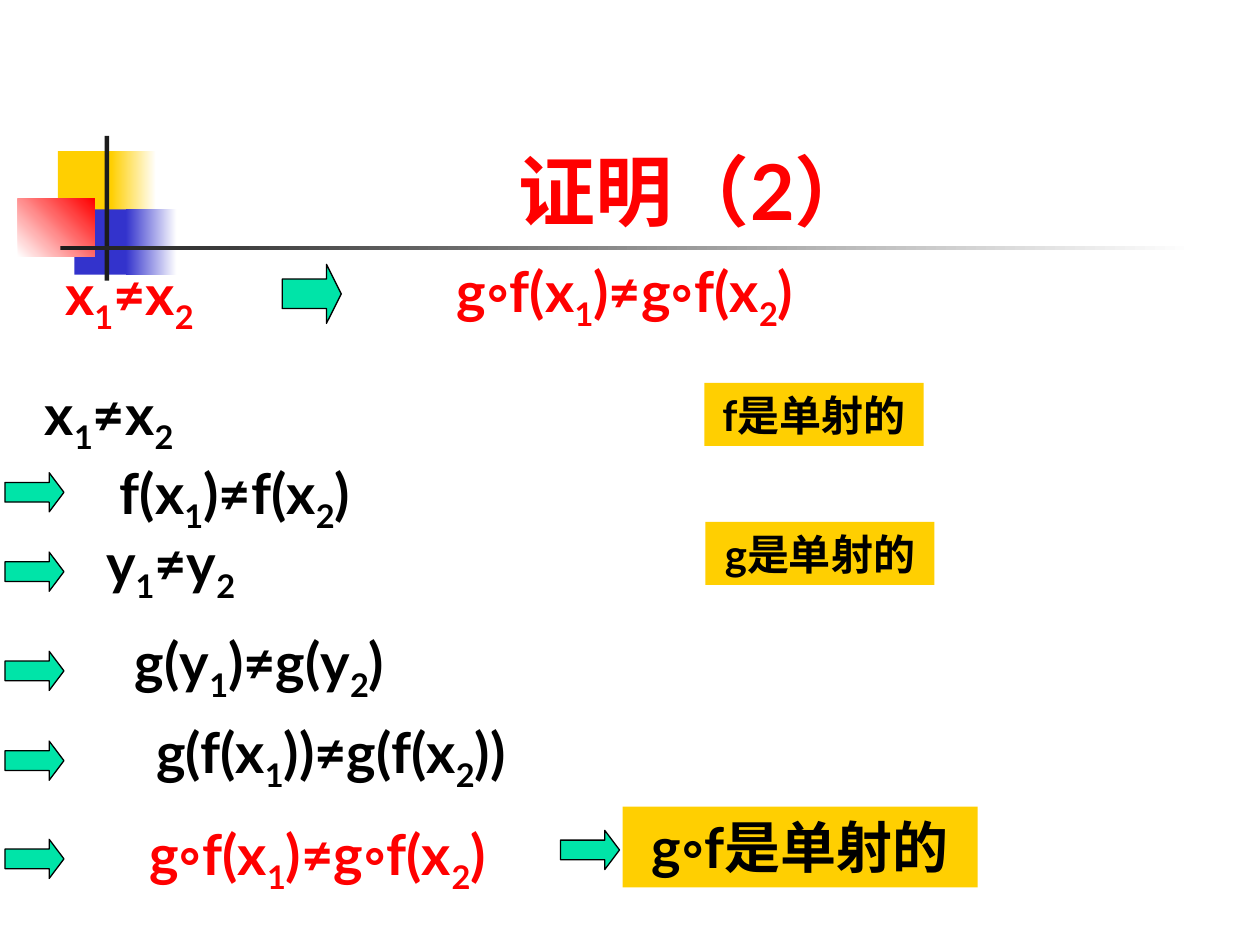
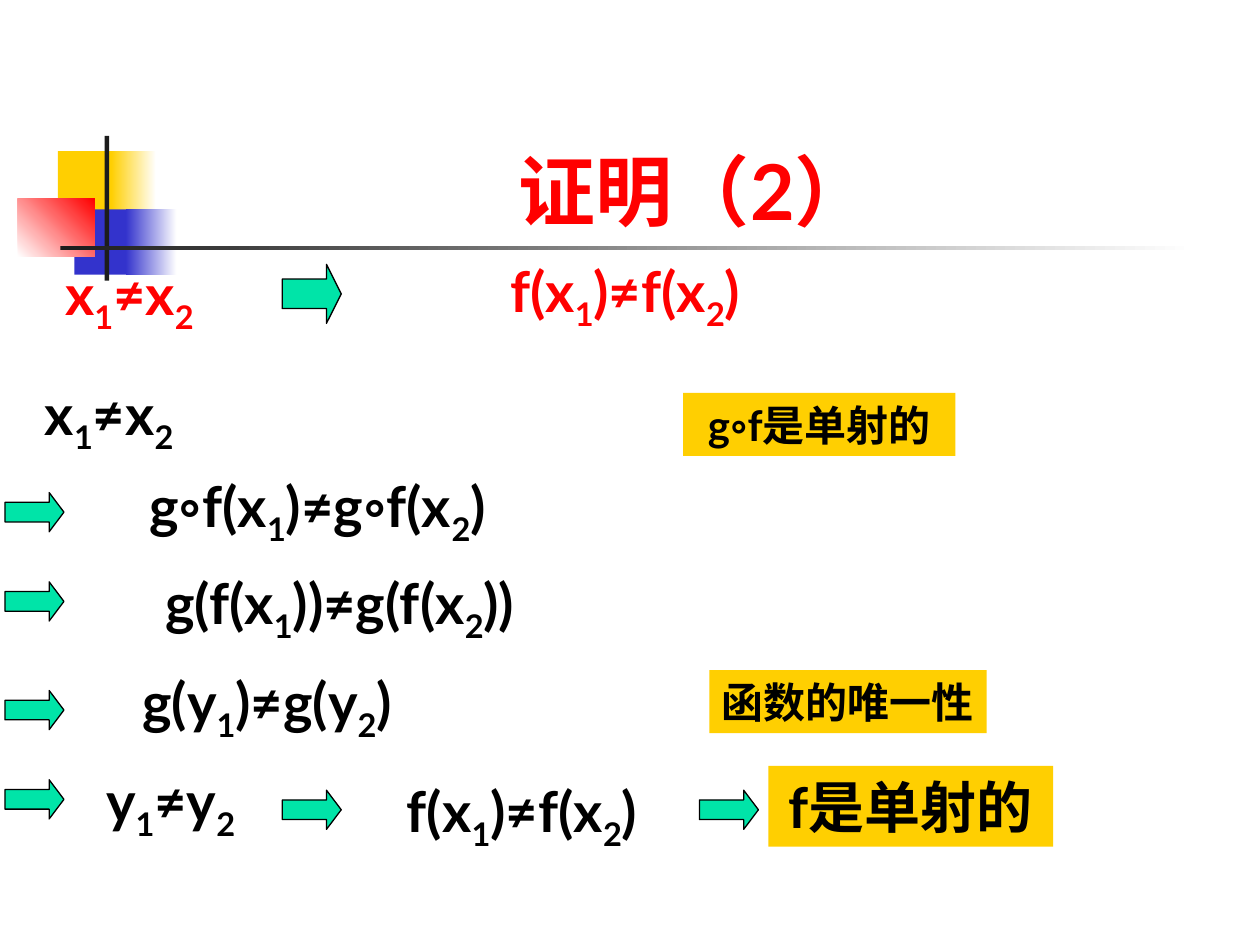
import pptx
import pptx.dml.color
import pptx.enum.shapes
import pptx.enum.text
import pptx.util

Cm, Pt = pptx.util.Cm, pptx.util.Pt
RGBColor = pptx.dml.color.RGBColor
MSO_SHAPE = pptx.enum.shapes.MSO_SHAPE

FONT = "Lato"
RED = RGBColor(0xFF, 0x00, 0x00)
BLACK = RGBColor(0x00, 0x00, 0x00)
WHITE = RGBColor(0xFF, 0xFF, 0xFF)
GOLD = RGBColor(0xFF, 0xCF, 0x01)
BLUE = RGBColor(0x33, 0x33, 0xCC)
CHARCOAL = RGBColor(0x1C, 0x1C, 0x1C)
GREEN = RGBColor(0x00, 0xE4, 0xA8)

# An underscore makes the next character a subscript.
X_DIFFER = "x_1≠x_2"
Y_DIFFER = "y_1≠y_2"
F_DIFFER = "f(x_1)≠f(x_2)"
G_DIFFER = "g(y_1)≠g(y_2)"
NESTED_DIFFER = "g(f(x_1))≠g(f(x_2))"
COMPOSED_DIFFER = "g◦f(x_1)≠g◦f(x_2)"
FORMULA_WIDTH = {X_DIFFER: 3.18, Y_DIFFER: 3.18, F_DIFFER: 5.61,
                 G_DIFFER: 6.15, NESTED_DIFFER: 8.56, COMPOSED_DIFFER: 8.48}

STEP_ARROW_LEFT = 0.1
ARROW_WIDTH = 1.19
BADGE_HEIGHT = {24: 1.27, 32: 1.63}

# Left, top, width, height, colours of the corner ornament, gradient angle
ORNAMENT = [
    (1.17, 3.05, 1.22, 1.32, [GOLD], 0),
    (2.24, 3.05, 0.91, 1.32, [GOLD, WHITE], 0),
    (1.5, 4.22, 1.17, 1.32, [BLUE], 0),
    (2.54, 4.22, 1.02, 1.32, [BLUE, WHITE], 0),
    (0.36, 4.01, 1.55, 1.17, [WHITE, RED], 45),
    (2.11, 2.74, 0.09, 2.92, [CHARCOAL], 0),
    (1.22, 4.95, 22.86, 0.09, [CHARCOAL, WHITE], 0),
]


def add_filled(slide, kind, left, top, width, height, colors, angle=0):
    """Add a borderless shape, filled plainly or with a two-colour gradient."""
    shape = slide.shapes.add_shape(kind, Cm(left), Cm(top), Cm(width), Cm(height))
    shape.shadow.inherit = False
    shape.line.fill.background()
    if len(colors) == 1:
        shape.fill.solid()
        shape.fill.fore_color.rgb = colors[0]
    else:
        shape.fill.gradient()
        shape.fill.gradient_angle = angle
        for stop, color in zip(shape.fill.gradient_stops, colors):
            stop.color.rgb = color
    return shape


def add_run(paragraph, text, size, color, subscript=False):
    run = paragraph.add_run()
    run.text = text
    run.font.name = FONT
    run.font.size = Pt(size)
    run.font.bold = True
    run.font.color.rgb = color
    if subscript:
        run._r.get_or_add_rPr().set("baseline", "-25000")


def fit_centred(frame):
    """Let the frame hug one centred line and return its paragraph."""
    frame.word_wrap = False
    frame.auto_size = pptx.enum.text.MSO_AUTO_SIZE.SHAPE_TO_FIT_TEXT
    frame.vertical_anchor = pptx.enum.text.MSO_ANCHOR.TOP
    paragraph = frame.paragraphs[0]
    paragraph.alignment = pptx.enum.text.PP_ALIGN.CENTER
    return paragraph


def add_formula(slide, formula, left, top, color=BLACK, tight=False):
    box = slide.shapes.add_textbox(Cm(left), Cm(top), Cm(FORMULA_WIDTH[formula]),
                                   Cm(1.5 if tight else 1.8))
    paragraph = fit_centred(box.text_frame)
    if tight:
        paragraph.line_spacing = 0.8
    start, *indexed = formula.split("_")
    add_run(paragraph, start, 32, color)
    for part in indexed:
        add_run(paragraph, part[0], 32, color, subscript=True)
        if part[1:]:
            add_run(paragraph, part[1:], 32, color)


def add_arrow(slide, left, top, height=0.79, head=0.376):
    arrow = add_filled(slide, MSO_SHAPE.RIGHT_ARROW, left, top, ARROW_WIDTH, height, [GREEN])
    arrow.adjustments[1] = head
    arrow.line.color.rgb = BLACK
    arrow.line.width = Pt(0.75)


def add_badge(slide, text, left, top, width, size=24):
    badge = add_filled(slide, MSO_SHAPE.RECTANGLE, left, top, width, BADGE_HEIGHT[size], [GOLD])
    add_run(fit_centred(badge.text_frame), text, size, BLACK)


def add_steps(slide, steps):
    """Add the derivation, each step being arrow top, formula, left, top, colour, tight."""
    for arrow_top, *formula in steps:
        add_arrow(slide, STEP_ARROW_LEFT, arrow_top)
        add_formula(slide, *formula)


def move_ornament_to_master(prs, slide):
    """Draw the ornament and put it behind the master's placeholders."""
    tree = prs.slide_master.shapes.element
    for index, (*place, colors, angle) in enumerate(ORNAMENT):
        part = add_filled(slide, MSO_SHAPE.RECTANGLE, *place, colors, angle).element
        part.nvSpPr.cNvPr.set("id", str(100 + index))
        tree.insert(2 + index, part)


def add_proof_slide(prs, goal, goal_left):
    """Add a slide with the title, the claim to prove and the first premise."""
    slide = prs.slides.add_slide(prs.slide_layouts[5])
    title = slide.shapes.title
    title.left, title.top, title.width, title.height = Cm(3.2), Cm(1.7), Cm(21.64), Cm(3.18)
    title.text_frame.vertical_anchor = pptx.enum.text.MSO_ANCHOR.BOTTOM
    heading = title.text_frame.paragraphs[0]
    heading.alignment = pptx.enum.text.PP_ALIGN.CENTER
    add_run(heading, "证明（2）", 44, RED)
    add_formula(slide, X_DIFFER, 1.02, 5.11, RED)
    add_arrow(slide, 5.69, 5.33, height=1.19, head=0.25)
    add_formula(slide, goal, goal_left, 5.18, RED, tight=True)
    add_formula(slide, X_DIFFER, 0.61, 7.52)
    return slide


def build_composition_proof(prs):
    slide = add_proof_slide(prs, COMPOSED_DIFFER, 8.36)
    add_steps(slide, [
        (9.53, F_DIFFER, 1.93, 9.12),
        (11.13, Y_DIFFER, 1.85, 10.52),
        (13.13, G_DIFFER, 2.16, 12.52),
        (14.94, NESTED_DIFFER, 2.39, 14.33),
        (16.92, COMPOSED_DIFFER, 2.16, 16.54, RED, True),
    ])
    add_badge(slide, "f是单射的", 14.2, 7.72, 4.42)
    add_badge(slide, "g是单射的", 14.22, 10.52, 4.62)
    add_arrow(slide, 11.3, 16.74)
    add_badge(slide, "g◦f是单射的", 12.55, 16.26, 7.16, size=32)
    return slide


def build_inner_function_proof(prs):
    slide = add_proof_slide(prs, F_DIFFER, 9.8)
    add_steps(slide, [
        (9.93, COMPOSED_DIFFER, 2.16, 9.53, BLACK, True),
        (11.73, NESTED_DIFFER, 2.57, 11.33),
        (13.92, G_DIFFER, 2.31, 13.34),
        (15.72, Y_DIFFER, 1.85, 15.32),
    ])
    add_badge(slide, "g◦f是单射的", 13.77, 7.92, 5.49)
    add_badge(slide, "函数的唯一性", 14.3, 13.51, 5.59)
    add_arrow(slide, 5.69, 15.93)
    add_formula(slide, F_DIFFER, 7.72, 15.52)
    add_arrow(slide, 14.1, 15.93)
    add_badge(slide, "f是单射的", 15.49, 15.44, 5.74, size=32)


def main():
    prs = pptx.Presentation()
    prs.slide_width, prs.slide_height = Cm(25.4), Cm(19.05)
    composition = build_composition_proof(prs)
    move_ornament_to_master(prs, composition)
    build_inner_function_proof(prs)
    prs.save("out.pptx")


if __name__ == "__main__":
    main()
